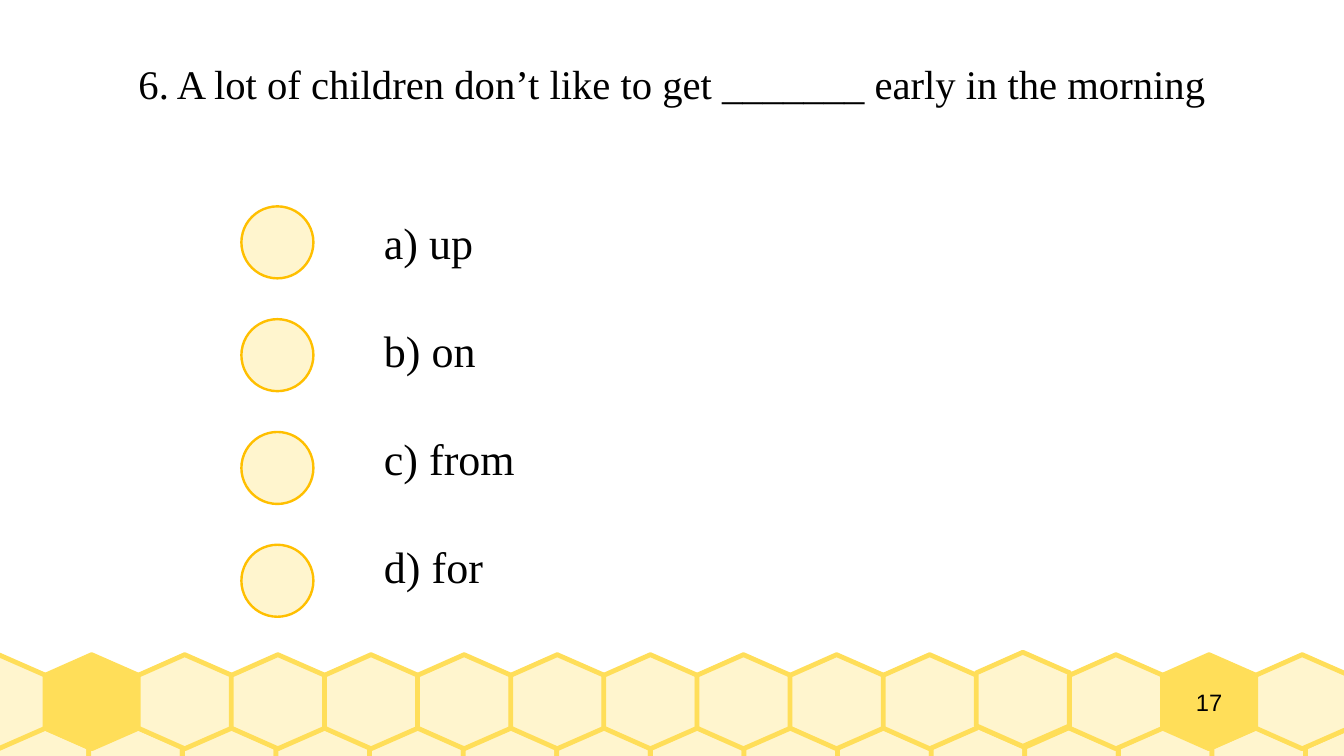
from pptx import Presentation
from pptx import util as u
from pptx.dml.color import RGBColor
from pptx.enum import shapes, text

BLACK = RGBColor(0x00, 0x00, 0x00)
CREAM = RGBColor(0xFF, 0xF5, 0xCE)
HONEY = RGBColor(0xFF, 0xDE, 0x59)
AMBER = RGBColor(0xFF, 0xBF, 0x00)

# Pointed-top honeycomb cell, in cm from its top left corner
CELL = [(0.97, 0), (0, 0.43), (0, 1.53), (0.97, 1.96), (1.95, 1.53), (1.95, 0.43)]
CELLS_PER_ROW = 15


class QuizSlide:
    serif = "Times New Roman"
    sans = "Arial"

    def __init__(self, slide):
        self.shapes = slide.shapes

    def paint(self, shape, fill, line, weight):
        shape.shadow.inherit = False
        shape.fill.solid()
        shape.fill.fore_color.rgb = fill
        shape.line.color.rgb = line
        shape.line.width = u.Pt(weight)

    def cell(self, left, top, fill):
        corners = [(u.Cm(left + x), u.Cm(top + y)) for x, y in CELL]
        outline = self.shapes.build_freeform(*corners[0])
        outline.add_line_segments(corners[1:], close=True)
        self.paint(outline.convert_to_shape(), fill, HONEY, 2.83)

    def circle(self, left, top, size):
        circle = self.shapes.add_shape(
            shapes.MSO_SHAPE.OVAL, u.Cm(left), u.Cm(top), u.Cm(size), u.Cm(size))
        self.paint(circle, CREAM, AMBER, 1.42)

    def label(self, box, lines, size, font, align=text.PP_ALIGN.CENTER,
              anchor=text.MSO_ANCHOR.MIDDLE, gap=0):
        frame = self.shapes.add_textbox(*(u.Cm(side) for side in box)).text_frame
        frame.word_wrap = True
        frame.vertical_anchor = anchor
        frame.margin_left = frame.margin_right = 0
        frame.margin_top = frame.margin_bottom = 0
        for index, line in enumerate(lines):
            paragraph = frame.add_paragraph() if index else frame.paragraphs[0]
            paragraph.alignment = align
            paragraph.space_after = u.Pt(gap)
            run = paragraph.add_run()
            run.text = line
            run.font.size = u.Pt(size)
            run.font.name = font
            run.font.color.rgb = BLACK


def main():
    deck = Presentation()
    deck.slide_width, deck.slide_height = u.Cm(28), u.Cm(15.75)
    quiz = QuizSlide(deck.slides.add_slide(deck.slide_layouts[6]))

    # Honeycomb border: lower row, then upper row with two solid cells
    for column in range(CELLS_PER_ROW):
        quiz.cell(-0.1 + 1.95 * column, 15.14, CREAM)
    for column in range(CELLS_PER_ROW):
        top = 13.59 if column == 11 else 13.64
        quiz.cell(-1 + 1.94 * column, top, HONEY if column in (1, 13) else CREAM)

    # Slide number
    quiz.label((23.6, 13.64, 3.18, 1.96), ["17"], 14, quiz.sans)

    # Question
    question = "6. A lot of children don’t like to get _______ early in the morning"
    quiz.label((1.5, 0.46, 25, 2.57), [question], 24, quiz.serif)

    # Answers with their choice circles
    answers = ["a) up", "b) on", "c) from", "d) for"]
    quiz.label((8, 4.5, 19, 8), answers, 26, quiz.serif,
               text.PP_ALIGN.LEFT, text.MSO_ANCHOR.TOP, gap=32.5)
    for row in range(len(answers)):
        quiz.circle(5.03, 4.3 + 2.35 * row, 1.5)

    deck.save("out.pptx")


if __name__ == "__main__":
    main()
